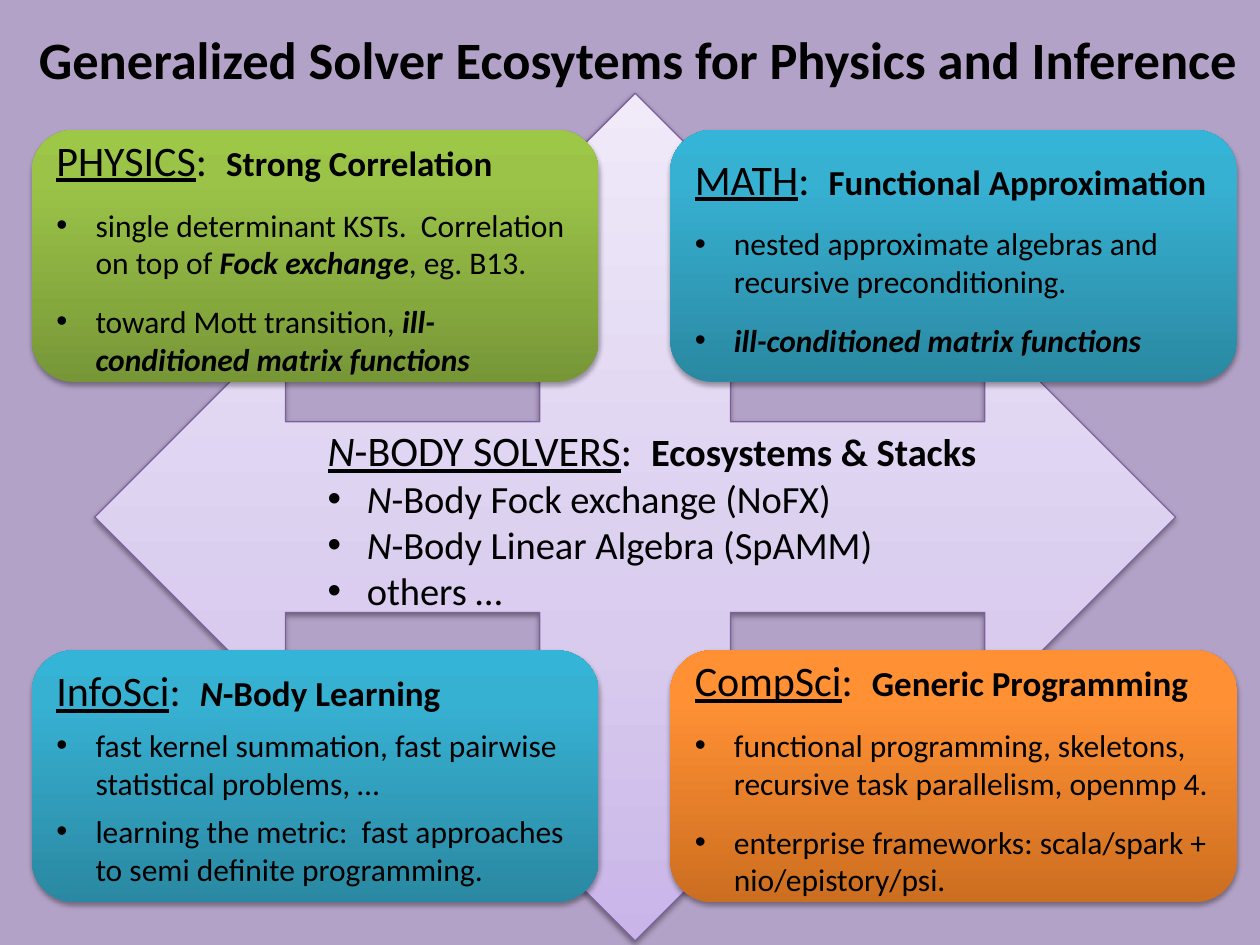
from copy import deepcopy

from lxml import etree
from pptx import Presentation
from pptx.dml.color import RGBColor
from pptx.enum.shapes import MSO_SHAPE
from pptx.enum.text import MSO_ANCHOR, MSO_AUTO_SIZE, PP_ALIGN
from pptx.oxml.ns import qn
from pptx.util import Cm, Pt

QUAD_ARROW = MSO_SHAPE.QUAD_ARROW
ROUNDED = MSO_SHAPE.ROUNDED_RECTANGLE
TOP, MIDDLE = MSO_ANCHOR.TOP, MSO_ANCHOR.MIDDLE
GROW = MSO_AUTO_SIZE.SHAPE_TO_FIT_TEXT
NO_FIT = MSO_AUTO_SIZE.NONE
LEFT = PP_ALIGN.LEFT

COLORS = {"background": "B3A2C7", "text": "000000", "arrow line": "7D60A0", "shadow": "000000"}
# Each gradient runs from the bottom of the shape to its top.
GRADIENTS = {
    "lavender": ((0, "C9B5E8"), (0.35, "D8CBEE"), (1, "F0EAF9")),
    "orange": ((0, "CC6E20"), (0.8, "FF9034"), (1, "FF9136")),
    "blue": ((0, "2A88A2"), (0.8, "37B1D2"), (1, "34B4D6")),
    "green": ((0, "779737"), (0.8, "9BC348"), (1, "9DC746")),
}

CARD_WIDTH, CARD_HEIGHT = 11.43, 5.08
COLUMNS = (0.64, 13.51)
ROWS = (2.62, 13.11)

# A run is (text, style), where style holds any of b, i and u.
# A card is column, row, gradient, space before, space after, heading, bullets.
CARDS = (
    (1, 1, "orange", 6, 6,
     (("CompSci", "u"), (":  ", ""), ("Generic Programming", "b")),
     ((("functional programming, skeletons, recursive task parallelism, openmp 4.", ""),),
      (("enterprise frameworks: scala/spark + nio/epistory/psi.", ""),))),
    (0, 1, "blue", 4, 2,
     (("InfoSci", "u"), (":  ", ""), ("N", "bi"), ("-Body Learning", "b")),
     ((("fast kernel summation, fast pairwise statistical problems, …", ""),),
      (("learning the metric:  fast approaches to semi definite programming.", ""),))),
    (0, 0, "green", 6, 6,
     (("PHYSICS", "u"), (":  ", ""), ("Strong Correlation", "b")),
     ((("single determinant KSTs.  Correlation on top of ", ""), ("Fock exchange", "bi"),
       (", eg. B13.", "")),
      (("toward Mott transition, ", ""), ("ill-conditioned matrix functions", "bi")))),
    (1, 0, "blue", 6, 6,
     (("MATH", "u"), (":  ", ""), ("Functional Approximation", "b")),
     ((("nested approximate algebras and recursive preconditioning.", ""),),
      (("ill-conditioned matrix functions", "bi"),))),
)
SOLVERS_HEADING = (("N", "iu"), ("-BODY SOLVERS", "u"), (":  ", ""), ("Ecosystems & Stacks", "b"))
SOLVERS = (
    (("N", "i"), ("-Body Fock exchange (NoFX)", "")),
    (("N", "i"), ("-Body Linear Algebra (SpAMM)", "")),
    (("others …", ""),),
)


class SlideBuilder:
    font_name = "Calibri"
    heading_size = 24
    bullet_indent = Cm(0.79)

    def __init__(self, slide):
        self.slide = slide

    def background(self, color):
        fill = self.slide.background.fill
        fill.solid()
        fill.fore_color.rgb = RGBColor.from_string(COLORS[color])

    def place(self, shape, left, top, width, height):
        shape.left, shape.top = Cm(left), Cm(top)
        shape.width, shape.height = Cm(width), Cm(height)

    def add_run(self, paragraph, text, size, style):
        run = paragraph.add_run()
        run.text = text
        font = run.font
        font.name, font.size = self.font_name, Pt(size)
        font.bold, font.italic, font.underline = (mark in style for mark in "biu")
        font.color.rgb = RGBColor.from_string(COLORS["text"])

    def format_paragraph(self, paragraph, before, after, bulleted):
        paragraph.alignment = LEFT
        paragraph.space_before, paragraph.space_after = Pt(before), Pt(after)
        properties = paragraph._p.get_or_add_pPr()
        indent = self.bullet_indent if bulleted else 0
        properties.set("marL", str(indent))
        properties.set("indent", str(-indent))
        if bulleted:
            etree.SubElement(properties, qn("a:buFont"), typeface="Arial")
            etree.SubElement(properties, qn("a:buChar"), char="•")
        else:
            etree.SubElement(properties, qn("a:buNone"))

    def heading_and_bullets(self, frame, heading, bullets, topic_size, bullet_size, before=0, after=0):
        """The label and colon of the heading are large; its bold topic is smaller."""
        paragraph = frame.paragraphs[0]
        self.format_paragraph(paragraph, before, after, False)
        for text, style in heading:
            self.add_run(paragraph, text, topic_size if "b" in style else self.heading_size, style)
        for bullet in bullets:
            paragraph = frame.add_paragraph()
            self.format_paragraph(paragraph, before, after, True)
            for text, style in bullet:
                self.add_run(paragraph, text, bullet_size, style)

    def gradient(self, shape, name):
        fill = shape.fill
        fill.gradient()
        fill.gradient_angle = 90
        stop_list = shape._element.spPr.find(".//" + qn("a:gsLst"))
        stop_list.append(deepcopy(stop_list[0]))
        for stop, (position, color) in zip(fill.gradient_stops, GRADIENTS[name]):
            stop.position = position
            stop.color.rgb = RGBColor.from_string(color)

    def shadow(self, shape, distance, opacity):
        shape.shadow.inherit = False
        effects = shape._element.spPr.find(qn("a:effectLst"))
        outer = etree.SubElement(effects, qn("a:outerShdw"), blurRad=str(Pt(3.1)),
                                 dist=str(Pt(distance)), dir="5400000", rotWithShape="0")
        color = etree.SubElement(outer, qn("a:srgbClr"), val=COLORS["shadow"])
        etree.SubElement(color, qn("a:alpha"), val=str(opacity * 1000))

    def title(self, text, left, top, width, height):
        shape = self.slide.shapes.title
        self.place(shape, left, top, width, height)
        frame = shape.text_frame
        frame.word_wrap, frame.auto_size, frame.vertical_anchor = False, GROW, TOP
        frame.paragraphs[0].alignment = LEFT
        self.add_run(frame.paragraphs[0], text, 30, "b")

    def body(self, heading, bullets, left, top, width, height):
        shape = self.slide.placeholders[1]
        self.place(shape, left, top, width, height)
        frame = shape.text_frame
        frame.word_wrap, frame.auto_size, frame.vertical_anchor = True, GROW, TOP
        self.heading_and_bullets(frame, heading, bullets, 22, 22)

    def backdrop_arrow(self, left, top, width, height):
        """Four-way arrow, placed behind the placeholders."""
        shapes = self.slide.shapes
        shape = shapes.add_shape(QUAD_ARROW, Cm(left), Cm(top), Cm(width), Cm(height))
        self.gradient(shape, "lavender")
        shape.line.color.rgb = RGBColor.from_string(COLORS["arrow line"])
        shape.line.width = Pt(0.75)
        self.shadow(shape, 1.6, 38)
        shapes._spTree.insert(2, shape._element)

    def card(self, column, row, gradient, before, after, heading, bullets):
        shape = self.slide.shapes.add_shape(ROUNDED, Cm(COLUMNS[column]), Cm(ROWS[row]),
                                            Cm(CARD_WIDTH), Cm(CARD_HEIGHT))
        self.gradient(shape, gradient)
        shape.line.fill.background()
        self.shadow(shape, 1.8, 35)
        frame = shape.text_frame
        frame.word_wrap, frame.auto_size, frame.vertical_anchor = True, NO_FIT, MIDDLE
        self.heading_and_bullets(frame, heading, bullets, 20, 18, before, after)


def main():
    presentation = Presentation()
    presentation.slide_width, presentation.slide_height = Cm(25.4), Cm(19.05)
    builder = SlideBuilder(presentation.slides.add_slide(presentation.slide_layouts[1]))
    builder.background("background")
    builder.backdrop_arrow(1.91, 1.88, 21.79, 17.09)
    builder.title("Generalized Solver Ecosytems for Physics and Inference", 0.53, 0.41, 25.63, 1.55)
    builder.body(SOLVERS_HEADING, SOLVERS, 6.35, 8.43, 20.12, 4.11)
    for card in CARDS:
        builder.card(*card)
    presentation.save("out.pptx")


if __name__ == "__main__":
    main()
